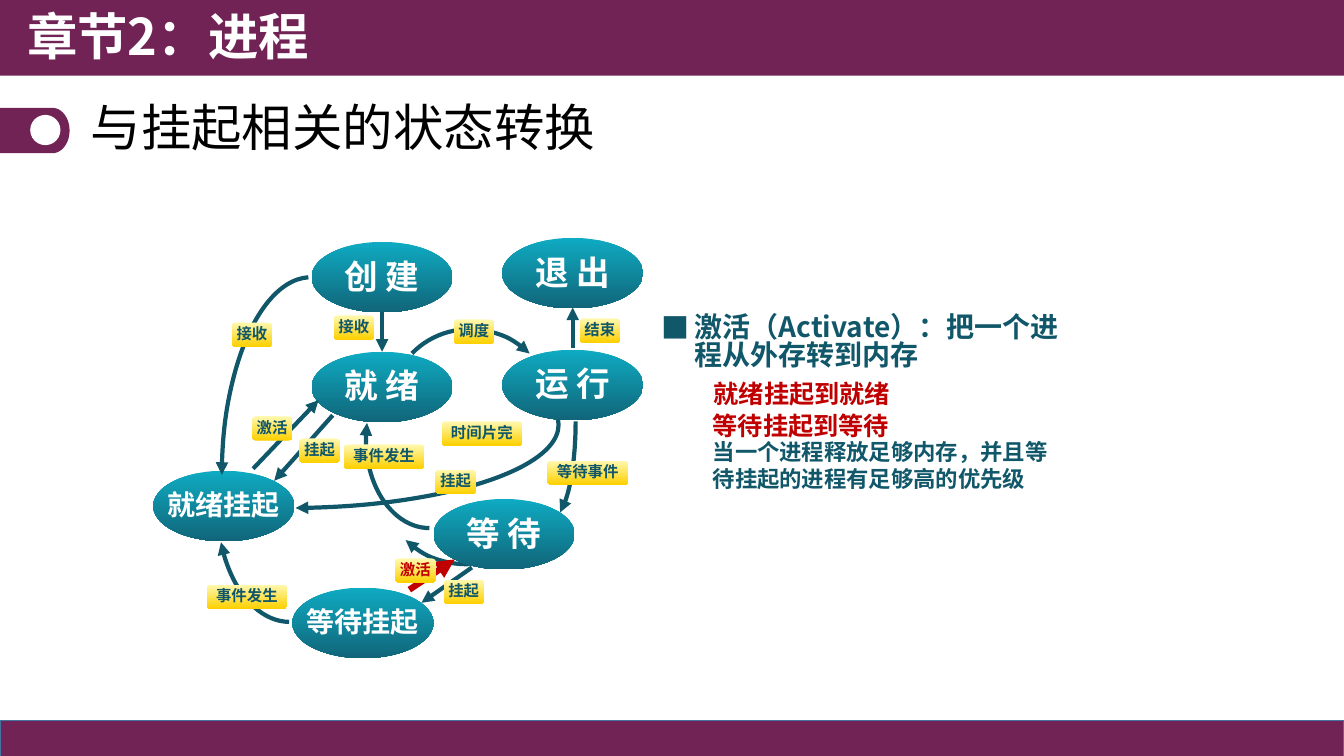
"""Build a slide on process state transitions related to suspension."""
import math

from lxml import etree
from pptx import Presentation
from pptx.dml.color import RGBColor
from pptx.enum.shapes import MSO_CONNECTOR, MSO_SHAPE
from pptx.enum.text import MSO_ANCHOR, MSO_AUTO_SIZE, PP_ALIGN
from pptx.oxml.ns import qn
from pptx.util import Inches, Pt

RECTANGLE, ELLIPSE, ARC = MSO_SHAPE.RECTANGLE, MSO_SHAPE.OVAL, MSO_SHAPE.ARC
ROUNDED = MSO_SHAPE.ROUNDED_RECTANGLE
STRAIGHT = MSO_CONNECTOR.STRAIGHT
LEFT, CENTER = PP_ALIGN.LEFT, PP_ALIGN.CENTER
MIDDLE = MSO_ANCHOR.MIDDLE
NO_AUTOFIT = MSO_AUTO_SIZE.NONE

PURPLE = RGBColor(0x71, 0x23, 0x55)
BORDER_BLUE = RGBColor(0x43, 0x73, 0x9E)
WHITE = RGBColor(0xFF, 0xFF, 0xFF)
BLACK = RGBColor(0, 0, 0)
TEAL = RGBColor(0x11, 0x57, 0x6A)
RED = RGBColor(0xC0, 0, 0)
STATE_DARK = RGBColor(0x11, 0x65, 0x79)
STATE_LIGHT = RGBColor(0x0E, 0xAB, 0xC2)
LABEL_PALE = RGBColor(0xFF, 0xF9, 0xB1)
LABEL_GOLD = RGBColor(0xFD, 0xD0, 0x00)

FONT = "Noto Sans CJK SC"
BULLET_FONT = "Noto Sans CJK JP"
SLIDE_WIDTH, SLIDE_HEIGHT = 13.33, 7.5
STATE_WIDTH, STATE_HEIGHT = 1.4, 0.7
LABEL_HEIGHT, LABEL_CHARACTER_WIDTH = 0.24, 0.2
BULLET_INDENT = Inches(0.33)
ARC_UNITS_PER_DEGREE = 0.6


def write_text(shape, text, size, color, bold=True, frame_format=None, paragraph_format=None):
    frame = shape.text_frame
    paragraph = frame.paragraphs[0]
    run = paragraph.add_run()
    run.text = text
    formats = (
        (frame, {"word_wrap": True, "auto_size": NO_AUTOFIT, **(frame_format or {})}),
        (paragraph, {"alignment": LEFT, **(paragraph_format or {})}),
        (run.font, {"size": Pt(size), "bold": bold, "name": FONT}),
    )
    for target, values in formats:
        for name, value in values.items():
            setattr(target, name, value)
    run.font.color.rgb = color
    etree.SubElement(run._r.get_or_add_rPr(), qn("a:ea"), typeface=FONT)


def style_arrow(line, color, width, arrow_end):
    line.color.rgb = color
    line.width = Pt(width)
    etree.SubElement(line._get_or_add_ln(), qn(f"a:{arrow_end}"), type="triangle")


presentation = Presentation()
presentation.slide_width = Inches(SLIDE_WIDTH)
presentation.slide_height = Inches(SLIDE_HEIGHT)
slide = presentation.slides.add_slide(presentation.slide_layouts[5])
shapes = slide.shapes

footer = shapes.add_shape(RECTANGLE, *map(Inches, (0, 7.15, SLIDE_WIDTH, 0.36)))
header = shapes.add_shape(RECTANGLE, *map(Inches, (-0.03, 0, 13.36, 0.75)))

marker_top, marker_bottom, marker_straight, marker_curve = 1.07, 1.52, 0.52, 0.17
marker_middle = (marker_top + marker_bottom) / 2
marker_radius = (marker_bottom - marker_top) / 2
curve_steps = 24
curve_angles = [math.pi * step / curve_steps for step in range(curve_steps + 1)]
marker_outline = [
    (Inches(marker_straight + marker_curve * math.sin(angle)),
     Inches(marker_middle - marker_radius * math.cos(angle)))
    for angle in curve_angles
]
builder = shapes.build_freeform(0, Inches(marker_top), scale=1.0)
builder.add_line_segments(marker_outline + [(0, Inches(marker_bottom))], close=True)
marker = builder.convert_to_shape()
marker_dot = shapes.add_shape(ELLIPSE, *map(Inches, (0.3, 1.14, 0.3, 0.3)))

for shape, color in ((footer, PURPLE), (header, PURPLE), (marker, PURPLE), (marker_dot, WHITE)):
    shape.shadow.inherit = False
    shape.fill.solid()
    shape.fill.fore_color.rgb = color
    shape.line.fill.background()
footer.line.color.rgb = BORDER_BLUE
footer.line.width = Pt(1)

title = shapes.title
title.left, title.top, title.width, title.height = map(Inches, (0.8, 0.87, 10, 0.85))
write_text(title, "与挂起相关的状态转换", 36, BLACK, False,
           {"vertical_anchor": MIDDLE}, {"line_spacing": 0.9})

chapter = shapes.add_textbox(*map(Inches, (0.17, 0, 6.67, 0.77)))
write_text(chapter, "章节2：进程", 36, WHITE)

definition = shapes.add_textbox(*map(Inches, (6.46, 3.08, 4.33, 0.86)))
bullet = definition.text_frame.paragraphs[0]._p.get_or_add_pPr()
bullet.set("marL", str(BULLET_INDENT))
bullet.set("indent", str(-BULLET_INDENT))
etree.SubElement(bullet, qn("a:buFont"), typeface=BULLET_FONT)
etree.SubElement(bullet, qn("a:buChar"), char="■")
write_text(definition, "激活（Activate）：把一个进程从外存转到内存", 20, TEAL,
           paragraph_format={"line_spacing": Pt(20)})

details = [
    ((6.98, 3.64, 5.78, 0.94), "就绪挂起到就绪", 18, RED, 1.2),
    ((6.97, 4.3, 3.59, 1.33), "当一个进程释放足够内存，并且等待挂起的进程有足够高的优先级", 16, TEAL, 1.0),
    ((6.97, 3.96, 2.33, 0.56), "等待挂起到等待", 18, RED, 1.2),
]
for box, text, size, color, line_spacing in details:
    detail = shapes.add_textbox(*map(Inches, box))
    write_text(detail, text, size, color, paragraph_format={"line_spacing": line_spacing})

states = [
    (3.09, 2.4, "创 建"),
    (3.09, 3.49, "就 绪"),
    (4.98, 3.47, "运 行"),
    (4.3, 4.95, "等 待"),
    (4.98, 2.36, "退 出"),
    (1.52, 4.67, "就绪挂起"),
    (2.9, 5.83, "等待挂起"),
]
labels = [
    (4.32, 4.66, "挂起", TEAL),
    (2.3, 3.2, "接收", TEAL),
    (2.05, 5.8, "事件发生", TEAL),
    (3.31, 3.13, "接收", TEAL),
    (2.5, 4.13, "激活", TEAL),
    (2.97, 4.35, "挂起", TEAL),
    (3.41, 4.41, "事件发生", TEAL),
    (3.92, 5.54, "激活", RED),
    (4.4, 5.75, "挂起", TEAL),
    (5.43, 4.57, "等待事件", TEAL),
    (4.38, 4.18, "时间片完", TEAL),
    (4.5, 3.17, "调度", TEAL),
    (5.75, 3.16, "结束", TEAL),
]
state_nodes = [
    (ELLIPSE, (left, top, STATE_WIDTH, STATE_HEIGHT), text, 24 if " " in text else 20, WHITE)
    for left, top, text in states
]
label_nodes = [
    (ROUNDED, (left, top, LABEL_CHARACTER_WIDTH * len(text), LABEL_HEIGHT), text, 11, color)
    for left, top, text, color in labels
]

arcs_behind_states = [
    ((5.21, 3.2, 0.5, 1.96), 0.13, 83.91, 0, "", "tailEnd"),
    ((3.76, 3.89, 1.67, 1.72), 267.64, 359.27, 134, "", "tailEnd"),
]
arcs_behind_labels = [
    ((3.88, 3.25, 1.62, 1.68), 270, 0, 314, "", "tailEnd"),
    ((0.15, 3.39, 5.39, 1.65), 358.96, 83.95, 0, "", "tailEnd"),
    ((3.63, 3.48, 1.26, 1.76), 345.24, 90, 0, "H", "headEnd"),
    ((2.16, 3.92, 1.43, 2.25), 26.13, 89.63, 0, "H", "headEnd"),
    ((2.2, 2.75, 1.77, 3.95), 0.9, 89.23, 0, "HV", "headEnd"),
]
straight_arrows = [
    ((3.79, 3.1), (3.79, 3.49), TEAL, 3),
    ((5.68, 3.45), (5.68, 3.05), TEAL, 3),
    ((4.68, 5.63), (4.18, 5.98), TEAL, 3),
    ((4.06, 5.85), (4.51, 5.55), RED, 4.5),
    ((2.51, 4.65), (3.16, 3.97), TEAL, 3),
    ((3.3, 4.12), (2.72, 4.77), TEAL, 3),
]
layers = [
    (arcs_behind_states, [], state_nodes, (STATE_LIGHT, STATE_DARK)),
    (arcs_behind_labels, straight_arrows, label_nodes, (LABEL_PALE, LABEL_GOLD)),
]
node_frame = {"word_wrap": False, "vertical_anchor": MIDDLE, "margin_left": 0,
              "margin_right": 0, "margin_top": 0, "margin_bottom": Inches(0.03)}

for arcs, arrows, nodes, top_to_bottom_colors in layers:
    for box, start_degrees, end_degrees, rotation, flips, arrow_end in arcs:
        arc = shapes.add_shape(ARC, *map(Inches, box))
        arc.shadow.inherit = False
        arc.fill.background()
        arc.rotation = rotation
        for index, degrees in enumerate((start_degrees, end_degrees)):
            arc.adjustments[index] = degrees * ARC_UNITS_PER_DEGREE
        for axis in flips:
            arc._element.spPr.find(qn("a:xfrm")).set(f"flip{axis}", "1")
        style_arrow(arc.line, TEAL, 3, arrow_end)
    for start, end, color, width in arrows:
        arrow = shapes.add_connector(STRAIGHT, *map(Inches, start + end))
        style_arrow(arrow.line, color, width, "tailEnd")
        etree.SubElement(arrow._element.spPr, qn("a:effectLst"))
    for kind, box, text, size, color in nodes:
        node = shapes.add_shape(kind, *map(Inches, box))
        node.shadow.inherit = False
        node.line.fill.background()
        node.fill.gradient()
        node.fill.gradient_angle = 270
        for stop, stop_color in zip(node.fill.gradient_stops, top_to_bottom_colors):
            stop.color.rgb = stop_color
        write_text(node, text, size, color, True, node_frame, {"alignment": CENTER})

presentation.save("out.pptx")
